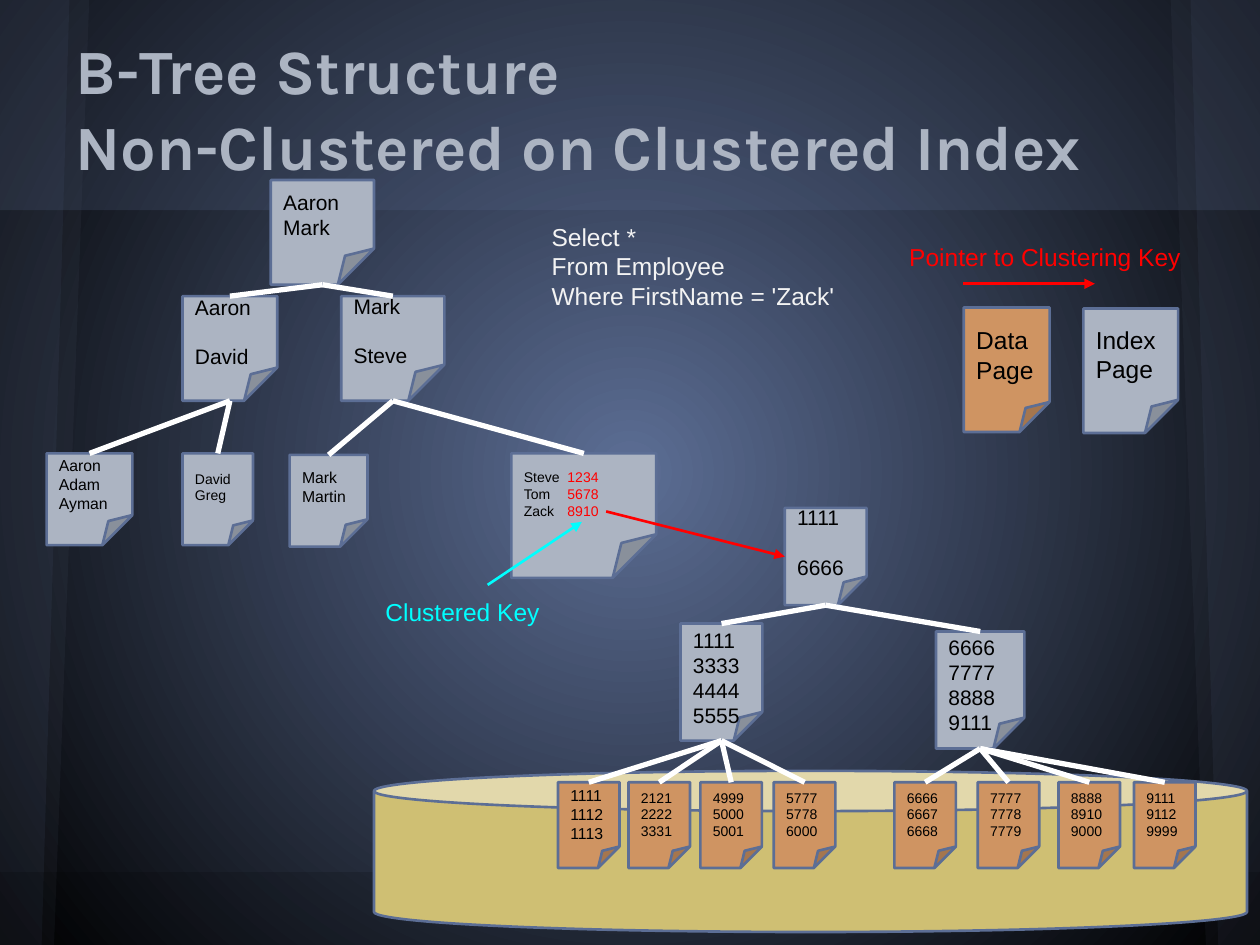
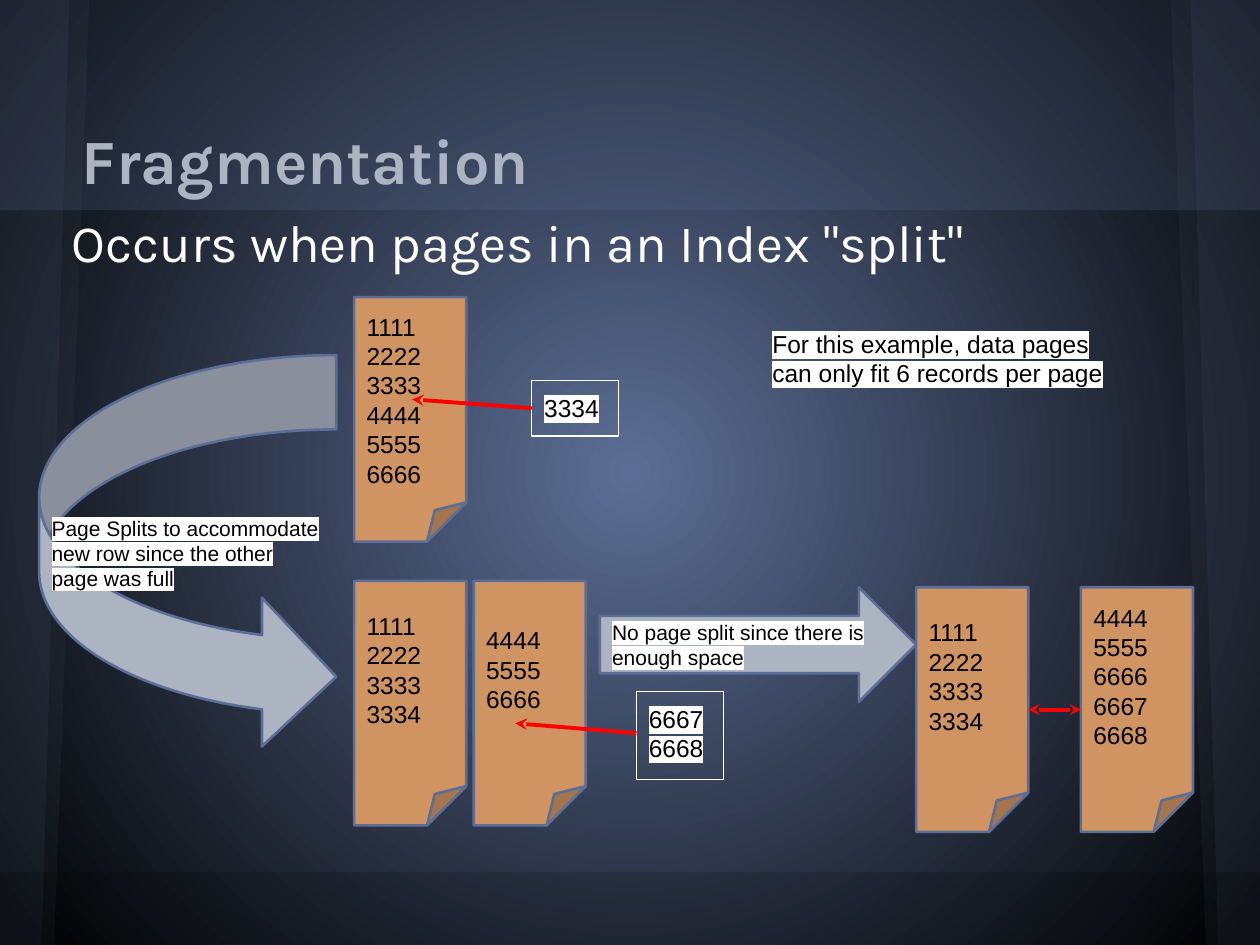
from pptx import Presentation
from pptx.dml.color import RGBColor
from pptx.enum.shapes import MSO_CONNECTOR as Connector, MSO_SHAPE as Shape
from pptx.enum.text import MSO_ANCHOR as Anchor, PP_ALIGN as Align
from pptx.oxml.ns import qn
from pptx.oxml.xmlchemy import OxmlElement as Element
from pptx.util import Cm, Pt

COLORS = {
    "blue": "5C6E95", "slate": "5A6378", "black": "000000", "white": "FFFFFF",
    "index": "ACB4C2", "data": "CF9462", "disk": "CFBF73",
    "red": "FF0000", "cyan": "00FFFF", "query": "F3F3F3",
}
WIDTH, HEIGHT = 25.4, 19.05
INSET = 0.25
FOLD = 0.35
TOP, LEFT, BOTTOM, RIGHT = range(4)  # connection sites of a page


def rgb(name):
    return RGBColor.from_string(COLORS[name])


def add_element(parent, tag, **attributes):
    element = Element(tag)
    for key, value in attributes.items():
        element.set(key, str(value))
    parent.append(element)
    return element


# Text
def highlight_run(run, color):
    highlight = Element("a:highlight")
    add_element(highlight, "a:srgbClr", val=COLORS[color])
    run._r.find(qn("a:rPr")).find(qn("a:solidFill")).addnext(highlight)


def format_run(run, size, color, font="Arial", bold=False):
    run.font.size = Pt(size)
    run.font.name = font
    run.font.bold = bold
    run.font.color.rgb = rgb(color)


def write(shape, text, size, color="black", font="Arial", bold=False,
          anchor=Anchor.TOP, gap=0, highlight=None):
    """Fill a shape with text; gap is the space in points between paragraphs."""
    frame = shape.text_frame
    frame.text = text
    frame.word_wrap = True
    frame.vertical_anchor = anchor
    frame.margin_left = frame.margin_right = Cm(INSET)
    frame.margin_top = frame.margin_bottom = Cm(INSET)
    for number, paragraph in enumerate(frame.paragraphs):
        paragraph.alignment = Align.LEFT
        if gap and number:
            paragraph.space_before = Pt(gap)
        for run in paragraph.runs:
            format_run(run, size, color, font, bold)
            if highlight:
                highlight_run(run, highlight)


def add_text(slide, box, text, size, color="black", **style):
    shape = slide.shapes.add_textbox(*map(Cm, box))
    write(shape, text, size, color, **style)
    return shape


# Shapes
def paint(shape, fill=None, line=None, line_width=1.5, alpha=None):
    shape.shadow.inherit = False
    if fill:
        shape.fill.solid()
        shape.fill.fore_color.rgb = rgb(fill)
    else:
        shape.fill.background()
    if line:
        shape.line.color.rgb = rgb(line)
        shape.line.width = Pt(line_width)
    else:
        shape.line.fill.background()
    if alpha:
        color = shape.element.spPr.find(qn("a:solidFill"))[0]
        add_element(color, "a:alpha", val=alpha * 1000)


def add_preset(slide, kind, box, fill=None, line="blue", line_width=1.5, alpha=None):
    shape = slide.shapes.add_shape(kind, *map(Cm, box))
    paint(shape, fill, line, line_width, alpha)
    return shape


def add_page(slide, box, text, size, fill="index", gap=0, drop=0):
    """A page with a folded corner; drop moves its text down (cm)."""
    page = add_preset(slide, Shape.FOLDED_CORNER, box, fill)
    adjustments = page.element.spPr.find(".//" + qn("a:avLst"))
    add_element(adjustments, "a:gd", name="adj", fmla=f"val {round(FOLD * 100000)}")
    write(page, text, size, anchor=Anchor.MIDDLE, gap=gap)
    page.text_frame.margin_top = Cm(INSET + 2 * max(drop, 0))
    page.text_frame.margin_bottom = Cm(INSET + 2 * max(-drop, 0))
    return page


def add_record_box(slide, box, text):
    shape = add_preset(slide, Shape.RECTANGLE, box, line="white", line_width=0.75)
    write(shape, text, 14, highlight="white")


# Lines
def add_line(slide, start, end, color, width, head=None, tail=None):
    line = slide.shapes.add_connector(Connector.STRAIGHT, *map(Cm, start + end))
    line.line.color.rgb = rgb(color)
    line.line.width = Pt(width)
    outline = line.element.spPr.find(qn("a:ln"))
    for tag, kind in (("a:headEnd", head), ("a:tailEnd", tail)):
        if kind:
            add_element(outline, tag, type=kind)
    add_element(line.element.spPr, "a:effectLst")
    return line


def join(slide, first, first_site, second, second_site, color, width, **ends):
    line = add_line(slide, (0, 0), (1, 1), color, width, **ends)
    line.begin_connect(first, first_site)
    line.end_connect(second, second_site)


def add_branches(slide, parent, children):
    for child in children:
        join(slide, parent, BOTTOM, child, TOP, "white", 3)


# Shared background and title
def add_background(slide):
    fill = slide.background.fill
    fill.gradient()
    for stop, position, color in zip(fill.gradient_stops, (0, 1), ("blue", "black")):
        stop.position = position
        stop.color.rgb = rgb(color)
    gradient = slide.element.find(".//" + qn("a:gradFill"))
    linear = gradient.find(qn("a:lin"))
    if linear is not None:
        gradient.remove(linear)
    circle = add_element(gradient, "a:path", path="circle")
    add_element(circle, "a:fillToRect", l=50000, t=50000, r=50000, b=50000)


def add_side_strip(slide, edge, direction, top_width, bottom_width, color):
    top_x, bottom_x = edge + direction * top_width, edge + direction * bottom_width
    builder = slide.shapes.build_freeform(Cm(edge), 0)
    corners = [(top_x, 0), (bottom_x, HEIGHT), (edge, HEIGHT)]
    builder.add_line_segments([(Cm(x), Cm(y)) for x, y in corners], close=True)
    paint(builder.convert_to_shape(), color, alpha=10)


def new_slide(presentation, title, left, top):
    slide = presentation.slides.add_slide(presentation.slide_layouts[6])
    add_background(slide)
    add_preset(slide, Shape.RECTANGLE, (0, 0, WIDTH, 4.24), "blue", None, alpha=20)
    for edge, direction in ((0, 1), (WIDTH, -1)):
        add_side_strip(slide, edge, direction, 1.8, 1.09, "slate")
        add_side_strip(slide, edge, direction, 1.4, 0.84, "blue")
    add_preset(slide, Shape.RECTANGLE, (0, 17.58, WIDTH, 1.47), "black", None, alpha=15)
    add_text(slide, (left, top, 22.86, 3.18), title, 36, "index",
             font="Karla", bold=True, anchor=Anchor.BOTTOM)
    return slide


# Slide 1
def add_clustered_keys(page, keys):
    for paragraph, key in zip(page.text_frame.paragraphs, keys):
        tabs = add_element(paragraph._p.get_or_add_pPr(), "a:tabLst")
        add_element(tabs, "a:tab", pos=int(Cm(0.88)), algn="l")
        run = paragraph.add_run()
        run.text = "\t" + key
        format_run(run, 8, "red")


def add_name_tree(slide):
    root = add_page(slide, (5.46, 3.63, 2.08, 2.11), "Aaron Mark", 12)
    left = add_page(slide, (3.68, 5.97, 1.91, 2.11), "Aaron\nDavid", 12, gap=13.8)
    right = add_page(slide, (6.88, 5.97, 2.08, 2.11), "Mark\nSteve", 12, gap=13.8)
    aaron = add_page(slide, (0.94, 9.14, 1.73, 1.85), "Aaron\nAdam\nAyman", 9)
    david = add_page(slide, (3.68, 9.14, 1.42, 1.85), "David\nGreg", 8)
    mark = add_page(slide, (5.84, 9.17, 1.57, 1.85), "Mark\nMartin", 9)
    steve = add_page(slide, (10.31, 9.14, 2.92, 2.51), "Steve\nTom\nZack", 8)
    add_clustered_keys(steve, ("1234", "5678", "8910"))
    add_branches(slide, root, (left, right))
    add_branches(slide, left, (aaron, david))
    add_branches(slide, right, (mark, steve))


def add_key_tree(slide):
    add_preset(slide, Shape.CAN, (7.54, 15.54, 17.6, 3.25), "disk")
    root = add_page(slide, (15.82, 10.24, 1.65, 1.96), "1111\n6666", 12, gap=13.8)
    branches = [
        ((13.72, 12.57, 1.65, 2.36), "1111\n3333\n4444\n5555",
         [(11.25, "1111\n1112\n1113", 9), (12.67, "2121\n2222\n3331", 8),
          (14.12, "4999\n5000\n5001", 8), (15.6, "5777\n5778\n6000", 8)]),
        ((18.87, 12.73, 1.78, 2.36), "6666\n7777\n8888\n9111",
         [(18.03, "6666\n6667\n6668", 8), (19.71, "7777\n7778\n7779", 8),
          (21.34, "8888\n8910\n9000", 8), (22.86, "9111\n9112\n9999", 8)]),
    ]
    for box, keys, leaves in branches:
        branch = add_page(slide, box, keys, 12, drop=0.2)
        add_branches(slide, root, [branch])
        add_branches(slide, branch, [
            add_page(slide, (left, 15.77, 1.24, 1.73), records, size, "data")
            for left, records, size in leaves])


def build_tree_slide(presentation):
    slide = new_slide(presentation, "B-Tree Structure\nNon-Clustered on Clustered Index",
                      1.27, 0.76)
    add_name_tree(slide)
    add_key_tree(slide)
    # Query and legend
    add_text(slide, (10.87, 4.22, 7.04, 2.69),
             "Select *\nFrom Employee\nWhere FirstName = 'Zack'", 14, "query")
    add_text(slide, (18.08, 4.62, 6.65, 0.91), "Pointer to Clustering Key", 14, "red")
    add_page(slide, (19.43, 6.2, 1.73, 2.51), "Data Page", 14, "data")
    add_page(slide, (21.84, 6.22, 1.91, 2.51), "Index Page", 14)
    add_text(slide, (7.52, 11.79, 4.62, 1.63), "Clustered Key", 14, "cyan")
    # Pointers
    for start, end, color in (((19.41, 5.72), (22.07, 5.72), "red"),
                              ((12.22, 10.31), (15.82, 11.22), "red"),
                              ((9.83, 11.79), (11.73, 10.52), "cyan")):
        add_line(slide, start, end, color, 1.5, tail="triangle")


# Slide 2
def add_data_page(slide, left, top, records, drop=-0.28):
    return add_page(slide, (left, top, 2.26, 4.93), "\n".join(records.split()), 14,
                    "data", drop=drop)


def build_fragmentation_slide(presentation):
    slide = new_slide(presentation, "Fragmentation", 1.4, 1.04)
    body = add_text(slide, (1.19, 3.99, 22.86, 1.8),
                    'Occurs when pages in an Index "split"', 30, "white", font="Karla")
    body.text_frame.paragraphs[0].space_before = Pt(6)
    # Pages before and after the split
    add_data_page(slide, 7.14, 5.99, "1111 2222 3333 4444 5555 6666", drop=0)
    add_data_page(slide, 7.14, 11.71, "1111 2222 3333 3334")
    add_data_page(slide, 9.55, 11.71, "4444 5555 6666")
    first = add_data_page(slide, 18.47, 11.84, "1111 2222 3333 3334")
    second = add_data_page(slide, 21.79, 11.84, "4444 5555 6666 6667 6668")
    join(slide, second, LEFT, first, RIGHT, "red", 2.25, head="stealth", tail="stealth")
    # Steps
    for kind, box, text in (
            (Shape.CURVED_RIGHT_ARROW, (0.79, 7.16, 5.99, 7.98),
             "Page Splits to accommodate\nnew row since the other page was full"),
            (Shape.RIGHT_ARROW, (12.09, 11.84, 6.38, 2.31),
             "No page split since there is enough space")):
        arrow = add_preset(slide, kind, box, "index")
        write(arrow, text, 12, anchor=Anchor.MIDDLE, highlight="white")
    # Inserted records
    add_record_box(slide, (10.72, 7.67, 1.75, 1.12), "3334")
    add_record_box(slide, (12.83, 13.94, 1.75, 1.78), "6667\n6668")
    add_line(slide, (10.72, 8.23), (8.31, 8.05), "red", 2.25, tail="stealth")
    add_line(slide, (12.83, 14.78), (10.39, 14.58), "red", 2.25, tail="stealth")
    add_text(slide, (15.32, 6.38, 7.54, 1.12),
             "For this example, data pages can only fit 6 records per page", 14,
             highlight="white")


def main():
    presentation = Presentation()
    presentation.slide_width, presentation.slide_height = Cm(WIDTH), Cm(HEIGHT)
    build_tree_slide(presentation)
    build_fragmentation_slide(presentation)
    presentation.save("out.pptx")


if __name__ == "__main__":
    main()
